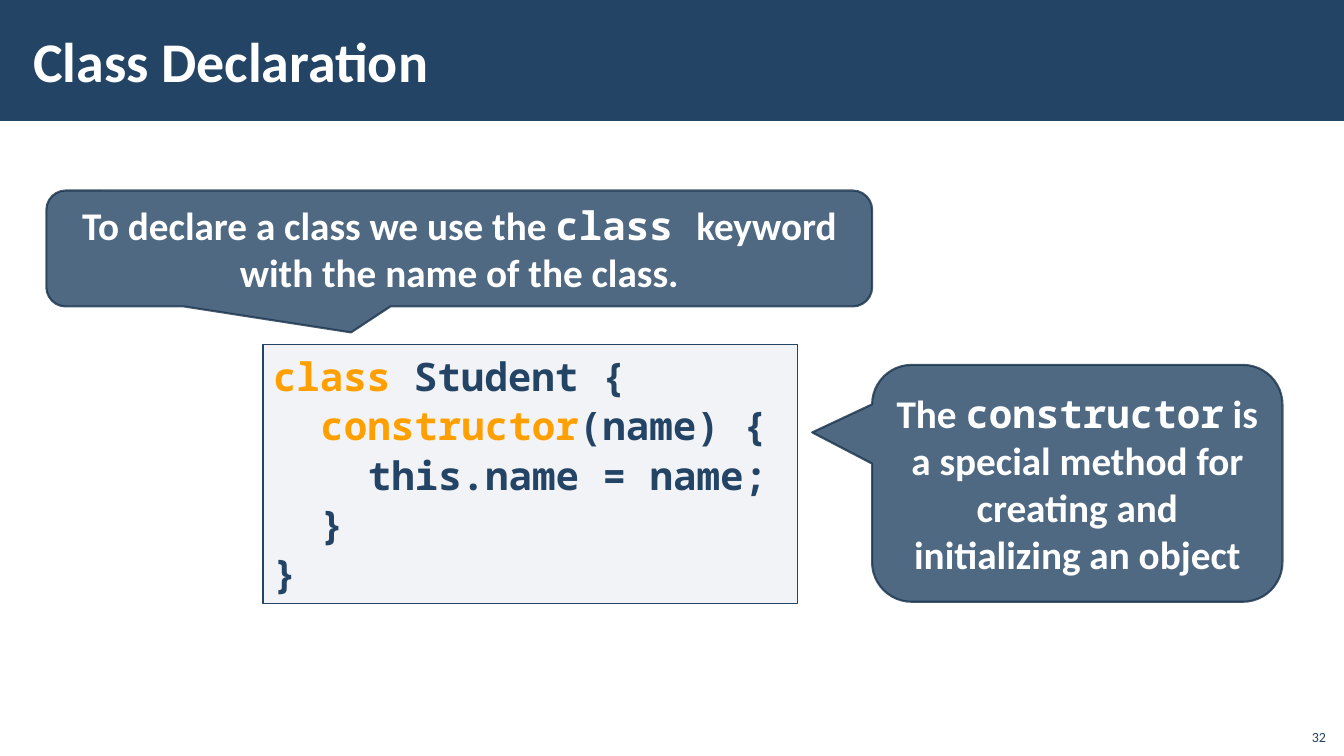
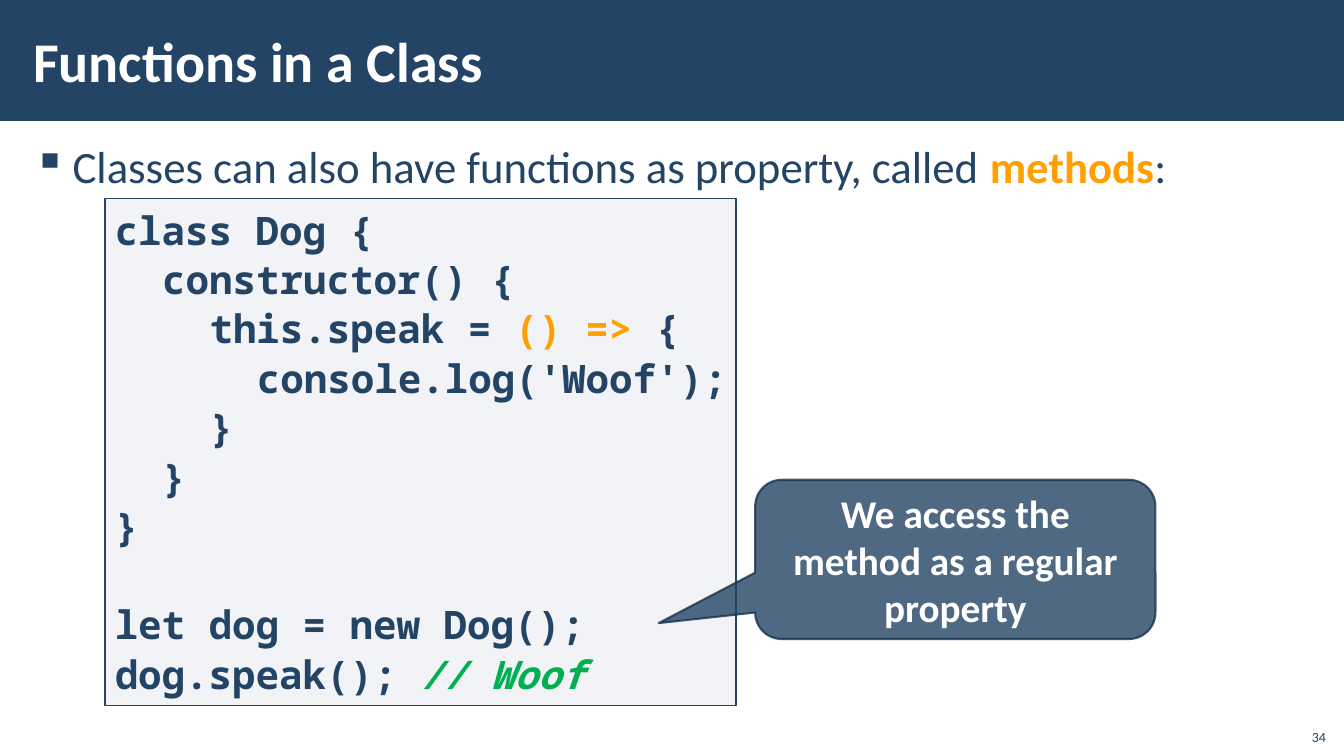
from dataclasses import dataclass
from typing import NamedTuple

from lxml import etree
from pptx import Presentation
from pptx.dml.color import RGBColor
from pptx.enum.shapes import MSO_SHAPE
from pptx.enum.text import MSO_ANCHOR, PP_ALIGN
from pptx.oxml.ns import qn
from pptx.util import Inches, Pt

RECT, CALLOUT = MSO_SHAPE.RECTANGLE, MSO_SHAPE.ROUNDED_RECTANGULAR_CALLOUT
TOP, MIDDLE, BOTTOM = MSO_ANCHOR.TOP, MSO_ANCHOR.MIDDLE, MSO_ANCHOR.BOTTOM
LEFT, CENTER, RIGHT = PP_ALIGN.LEFT, PP_ALIGN.CENTER, PP_ALIGN.RIGHT

NAVY = RGBColor(0x23, 0x44, 0x65)
DARK_NAVY = RGBColor(0x1A, 0x33, 0x4C)
GRAY = RGBColor(0xAD, 0xB4, 0xC3)
ORANGE = RGBColor(0xFF, 0xA0, 0x00)
GREEN = RGBColor(0x00, 0xB0, 0x50)
WHITE = RGBColor(0xFF, 0xFF, 0xFF)

SANS, MONO = "Calibri", "Noto Sans Mono"
TITLE = {"name": SANS, "size": Pt(40), "bold": True, "color": WHITE}
BODY = {"name": SANS, "size": Pt(32), "color": NAVY}
NOTE = {"name": SANS, "size": Pt(28), "bold": True, "color": WHITE}
CODE = {"name": MONO, "size": Pt(28), "bold": True, "color": NAVY}
FOOTER = {"name": SANS, "size": Pt(10), "color": NAVY}
NOTE_CODE = {"name": MONO}
KEYWORD = {"color": ORANGE, "bold": True}
COMMENT = {"color": GREEN, "italic": True}

SLIDE_W, SLIDE_H = 13.33, 7.5
PLACEHOLDER_INSETS = (0.12, 0.04, 0.12, 0.04)
CODE_INSETS = (0.1, 0.05, 0, 0.05)
CODE_INDENT = 0.47  # two monospaced characters
CODE_SPACING = 1.05
CODE_GAP = Pt(35)


class Box(NamedTuple):
    left: float
    top: float
    width: float
    height: float


class Span(NamedTuple):
    text: str
    style: dict = {}


@dataclass
class CodeLine:
    depth: int
    spans: list[Span]
    gap_before: bool = False


@dataclass
class Callout:
    box: Box
    tip: tuple[float, float]
    spans: list[Span]


def set_alpha(color_parent, percent: int) -> None:
    color = color_parent.find(".//" + qn("a:srgbClr"))
    etree.SubElement(color, qn("a:alpha")).set("val", str(percent * 1000))


def add_spans(p, spans: list[Span], base: dict) -> None:
    for text, style in spans:
        r = p.add_run()
        r.text = text
        for key, value in {**base, **style}.items():
            if key == "color":
                r.font.color.rgb = value
            else:
                setattr(r.font, key, value)


def prepare_frame(sp, anchor, insets=(0.1, 0.05, 0.1, 0.05)):
    tf = sp.text_frame
    tf.word_wrap = True
    tf.vertical_anchor = anchor
    for side, inset in zip(("left", "top", "right", "bottom"), insets):
        setattr(tf, f"margin_{side}", Inches(inset))
    return tf


def add_text(s, box: Box, spans: list[Span], base: dict, anchor, align=LEFT,
             insets=PLACEHOLDER_INSETS):
    sp = s.shapes.add_textbox(*map(Inches, box))
    p = prepare_frame(sp, anchor, insets).paragraphs[0]
    p.alignment = align
    add_spans(p, spans, base)
    return p


def add_panel(s, kind, box: Box, fill: RGBColor, alpha: int = 100):
    """Add a filled shape without shadow or outline."""
    sp = s.shapes.add_shape(kind, *map(Inches, box))
    sp.shadow.inherit = False
    sp.fill.solid()
    sp.fill.fore_color.rgb = fill
    set_alpha(sp.fill._xPr.find(qn("a:solidFill")), alpha)
    sp.line.fill.background()
    return sp


def set_outline(sp, color: RGBColor, width: float, alpha: int = 100) -> None:
    sp.line.color.rgb = color
    sp.line.width = Pt(width)
    set_alpha(sp.line._ln, alpha)


def add_bullet(s, box: Box, spans: list[Span]) -> None:
    p = add_text(s, box, spans, BODY, TOP)
    p.line_spacing = 1.05
    p.space_before = p.space_after = Pt(6)
    pPr = p._p.get_or_add_pPr()
    pPr.set("marL", str(Inches(0.39)))
    pPr.set("indent", str(Inches(-0.39)))
    etree.SubElement(pPr, qn("a:buChar")).set("char", "▪")


def add_code(s, box: Box, lines: list[CodeLine]) -> None:
    sp = add_panel(s, RECT, box, GRAY, 15)
    set_outline(sp, NAVY, 1)
    tf = prepare_frame(sp, TOP, CODE_INSETS)
    for i, line in enumerate(lines):
        p = tf.add_paragraph() if i else tf.paragraphs[0]
        p.alignment = LEFT
        p.line_spacing = CODE_SPACING
        if line.gap_before:
            p.space_before = CODE_GAP
        indent = Inches(line.depth * CODE_INDENT)
        p._p.get_or_add_pPr().set("marL", str(indent))
        add_spans(p, line.spans, CODE)


def add_callout(s, callout: Callout) -> None:
    sp = add_panel(s, CALLOUT, callout.box, NAVY, 80)
    set_outline(sp, DARK_NAVY, 1.5, 80)
    for i, value in enumerate((*callout.tip, 0.167)):
        sp.adjustments[i] = value
    p = prepare_frame(sp, MIDDLE).paragraphs[0]
    p.alignment = CENTER
    add_spans(p, callout.spans, NOTE)


def new_slide(prs, title: str, number: int):
    """Add a slide with the title band and the page number."""
    s = prs.slides.add_slide(prs.slide_layouts[6])
    add_panel(s, RECT, Box(0, 0, SLIDE_W, 1.2), NAVY)
    add_text(s, Box(0.21, 0.11, 10.63, 0.97), [Span(title)], TITLE, MIDDLE)
    add_text(s, Box(12.85, 7.12, 0.4, 0.32), [Span(str(number))], FOOTER,
             BOTTOM, RIGHT, (0, 0.05, 0.1, 0.05))
    return s


def build_declaration(prs) -> None:
    s = new_slide(prs, "Class Declaration", 32)
    add_code(s, Box(2.61, 3.42, 5.3, 2.57), [
        CodeLine(0, [Span("class", KEYWORD), Span(" Student {")]),
        CodeLine(1, [Span("constructor", KEYWORD), Span("(name) {")]),
        CodeLine(2, [Span("this.name = name;")]),
        CodeLine(1, [Span("}")]),
        CodeLine(0, [Span("}")]),
    ])
    add_callout(s, Callout(Box(0.46, 1.89, 8.19, 1.15), (-0.131, 0.724), [
        Span("To declare a class we use the "),
        Span("class ", NOTE_CODE),
        Span("keyword with the name of the class."),
    ]))
    add_callout(s, Callout(Box(8.65, 3.62, 4.07, 2.35), (-0.646, -0.215), [
        Span("The "),
        Span("constructor", NOTE_CODE),
        Span(" is a special method for creating and initializing an object"),
    ]))


def build_methods(prs) -> None:
    s = new_slide(prs, "Functions in a Class", 34)
    add_bullet(s, Box(0.21, 1.31, 12.92, 6.05), [
        Span("Classes can also have functions as property, called "),
        Span("methods", KEYWORD),
        Span(":"),
    ])
    add_code(s, Box(1.04, 1.97, 6.26, 5.03), [
        CodeLine(0, [Span("class Dog {")]),
        CodeLine(1, [Span("constructor() {")]),
        CodeLine(2, [Span("this.speak = "), Span("() =>", KEYWORD), Span(" {")]),
        CodeLine(3, [Span("console.log('Woof');")]),
        CodeLine(2, [Span("}")]),
        CodeLine(1, [Span("}")]),
        CodeLine(0, [Span("}")]),
        CodeLine(0, [Span("let dog = new Dog();")], gap_before=True),
        CodeLine(0, [Span("dog.speak(); "), Span("// Woof", COMMENT)]),
    ])
    add_callout(s, Callout(Box(7.49, 4.76, 3.97, 1.58), (-0.741, 0.4), [
        Span("We access the method as a regular property"),
    ]))


def main() -> None:
    prs = Presentation()
    prs.slide_width, prs.slide_height = Inches(SLIDE_W), Inches(SLIDE_H)
    build_declaration(prs)
    build_methods(prs)
    prs.save("out.pptx")


if __name__ == "__main__":
    main()
